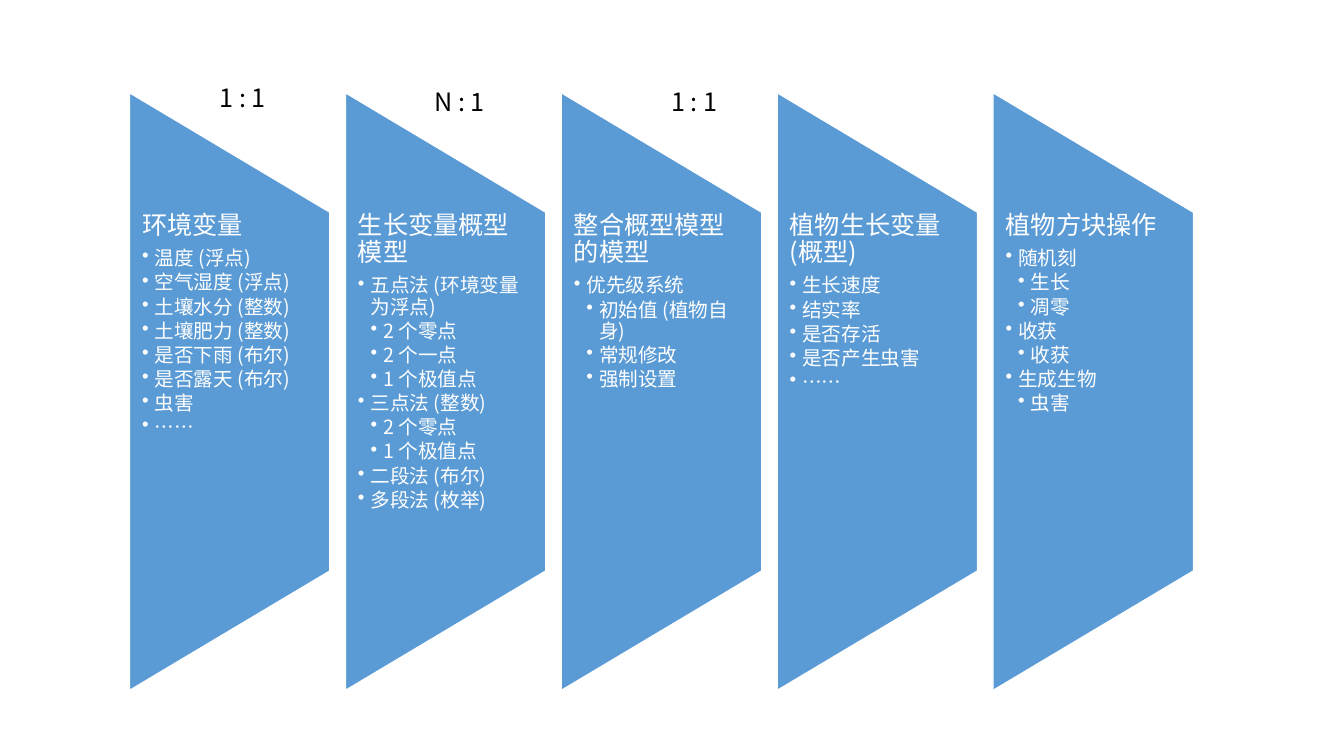
from typing import NamedTuple

from lxml.etree import SubElement
from pptx import Presentation
from pptx.dml.color import RGBColor
from pptx.enum.shapes import MSO_AUTO_SHAPE_TYPE as ShapeType
from pptx.enum.text import MSO_ANCHOR as Anchor, MSO_AUTO_SIZE as AutoSize
from pptx.oxml.ns import qn
from pptx.util import Pt

FONT = "Noto Sans CJK SC"
COLOURS = {"panel": "5B9BD5", "light": "FFFFFF", "dark": "000000"}

PANEL_LEFT, PANEL_TOP = 92.5, 66.2
PANEL_WIDTH, PANEL_HEIGHT = 143.2, 427
PANEL_PITCH = 154.2
TEXT_TOP, TEXT_HEIGHT = 152, 256
INDENT = 9
TITLE_SIZE, ITEM_SIZE = 18, 14


class Item(NamedTuple):
    """A bulleted line and its level."""
    text: str
    level: int = 1


class Panel(NamedTuple):
    """A stage of the plant growth model."""
    title: str
    items: list[Item]


class Ratio(NamedTuple):
    """A mapping ratio between two stages."""
    text: str
    left: float
    top: float
    width: float


PANELS = [
    Panel("环境变量", [
        Item("温度 (浮点)"), Item("空气湿度 (浮点)"), Item("土壤水分 (整数)"),
        Item("土壤肥力 (整数)"), Item("是否下雨 (布尔)"), Item("是否露天 (布尔)"),
        Item("虫害"), Item("……")]),
    Panel("生长变量概型模型", [
        Item("五点法 (环境变量为浮点)"),
        Item("2 个零点", 2), Item("2 个一点", 2), Item("1 个极值点", 2),
        Item("三点法 (整数)"), Item("2 个零点", 2), Item("1 个极值点", 2),
        Item("二段法 (布尔)"), Item("多段法 (枚举)")]),
    Panel("整合概型模型的模型", [
        Item("优先级系统"), Item("初始值 (植物自身)", 2),
        Item("常规修改", 2), Item("强制设置", 2)]),
    Panel("植物生长变量 (概型)", [
        Item("生长速度"), Item("结实率"), Item("是否存活"),
        Item("是否产生虫害"), Item("……")]),
    Panel("植物方块操作", [
        Item("随机刻"), Item("生长", 2), Item("凋零", 2),
        Item("收获"), Item("收获", 2), Item("生成生物"), Item("虫害", 2)]),
]
RATIOS = [
    Ratio("1 : 1", 149.8, 55.4, 91.4),
    Ratio("N : 1", 303.1, 58.3, 107.3),
    Ratio("1 : 1", 472.3, 58.3, 91.4),
]


def colour(name: str) -> RGBColor:
    """Look up a named colour."""
    return RGBColor.from_string(COLOURS[name])


def add_run(paragraph, text: str, size: float, colour_name: str) -> None:
    """Add a run in the slide's font for Latin and East Asian text."""
    run = paragraph.add_run()
    run.text = text
    run.font.size = Pt(size)
    run.font.name = FONT
    run.font.color.rgb = colour(colour_name)
    SubElement(run.font._element, qn("a:ea"), typeface=FONT)


def add_bullet(paragraph, level: int) -> None:
    """Give a paragraph a round bullet and a hanging indent."""
    paragraph.level = level
    properties = paragraph._p.get_or_add_pPr()
    properties.set("marL", str(Pt(INDENT * level)))
    properties.set("indent", str(-Pt(INDENT)))
    SubElement(properties, qn("a:buChar"), char="•")


def add_panel_shape(slide, left: float) -> None:
    """Draw a trapezoid turned on its side."""
    turn_shift = (PANEL_HEIGHT - PANEL_WIDTH) / 2
    shape = slide.shapes.add_shape(
        ShapeType.FLOWCHART_MANUAL_OPERATION,
        Pt(left - turn_shift), Pt(PANEL_TOP + turn_shift),
        Pt(PANEL_HEIGHT), Pt(PANEL_WIDTH))
    shape.rotation = 270
    shape.shadow.inherit = False
    shape.fill.solid()
    shape.fill.fore_color.rgb = colour("panel")
    shape.line.color.rgb = colour("light")
    shape.line.width = Pt(1)


def add_panel_text(slide, panel: Panel, left: float) -> None:
    """Write a panel's title and bulleted items."""
    box = slide.shapes.add_textbox(
        Pt(left), Pt(TEXT_TOP), Pt(PANEL_WIDTH), Pt(TEXT_HEIGHT))
    frame = box.text_frame
    frame.word_wrap = True
    frame.vertical_anchor = Anchor.TOP
    frame.margin_left, frame.margin_right = Pt(9), Pt(9)
    frame.margin_top = frame.margin_bottom = 0

    title = frame.paragraphs[0]
    title.line_spacing = 0.9
    title.space_after = Pt(TITLE_SIZE * 0.35)
    add_run(title, panel.title, TITLE_SIZE, "light")
    for item in panel.items:
        paragraph = frame.add_paragraph()
        paragraph.line_spacing = 0.9
        paragraph.space_after = Pt(ITEM_SIZE * 0.15)
        add_bullet(paragraph, item.level)
        add_run(paragraph, item.text, ITEM_SIZE, "light")


def add_ratio(slide, ratio: Ratio) -> None:
    """Write a ratio above the panels."""
    box = slide.shapes.add_textbox(
        Pt(ratio.left), Pt(ratio.top), Pt(ratio.width), Pt(29))
    box.text_frame.word_wrap = True
    box.text_frame.auto_size = AutoSize.SHAPE_TO_FIT_TEXT
    add_run(box.text_frame.paragraphs[0], ratio.text, TITLE_SIZE, "dark")


def main() -> None:
    """Build and save the slide."""
    presentation = Presentation()
    presentation.slide_width, presentation.slide_height = Pt(960), Pt(540)
    slide = presentation.slides.add_slide(presentation.slide_layouts[6])
    for index, panel in enumerate(PANELS):
        left = PANEL_LEFT + index * PANEL_PITCH
        add_panel_shape(slide, left)
        add_panel_text(slide, panel, left)
    for ratio in RATIOS:
        add_ratio(slide, ratio)
    presentation.save("out.pptx")


main()
